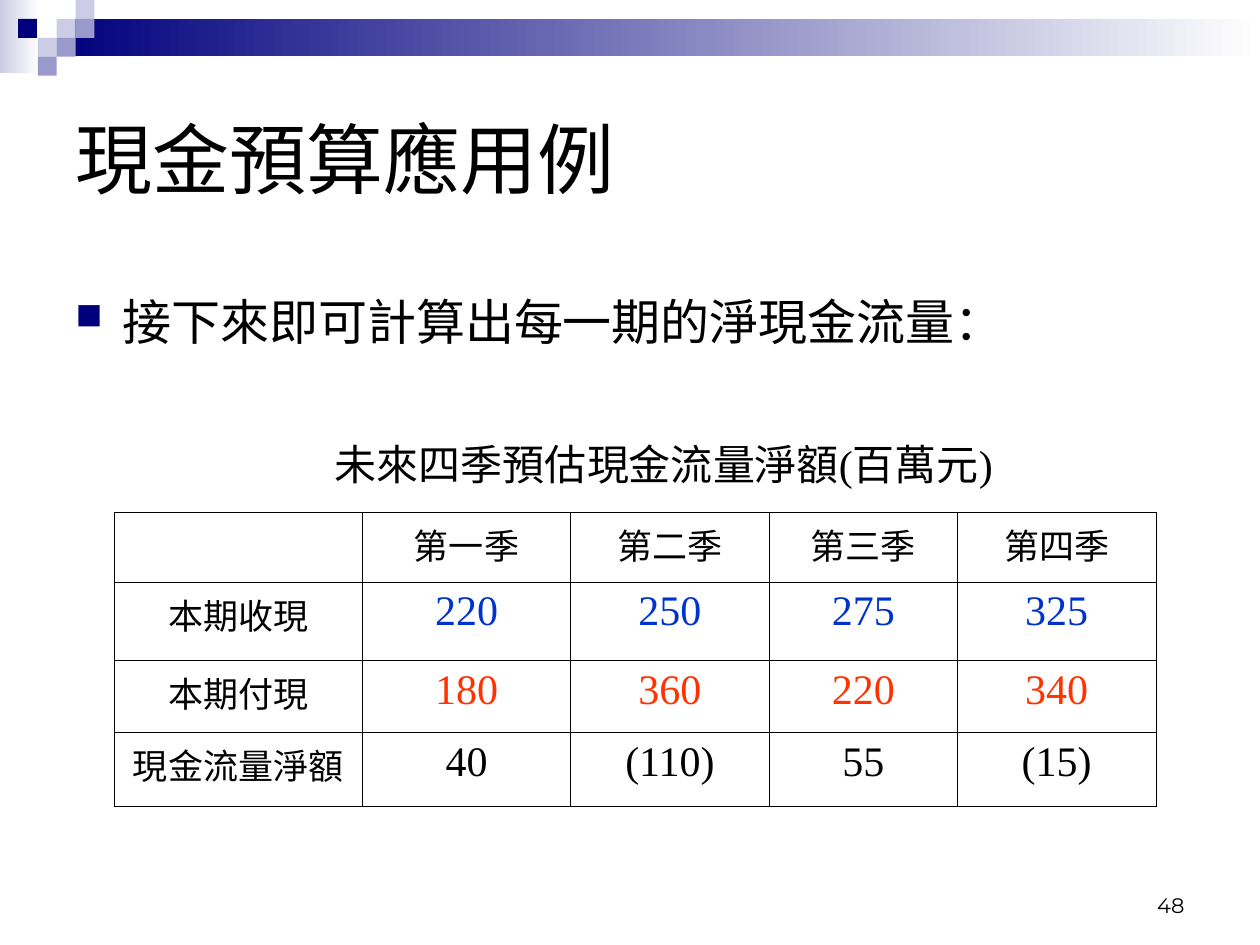
from lxml.etree import SubElement
from pptx import Presentation
from pptx.dml.color import RGBColor
from pptx.enum.shapes import MSO_SHAPE
from pptx.enum.text import MSO_ANCHOR, PP_ALIGN
from pptx.oxml.ns import qn
from pptx.util import Pt

BLACK = RGBColor(0x00, 0x00, 0x00)
WHITE = RGBColor(0xFF, 0xFF, 0xFF)
NAVY = RGBColor(0x00, 0x00, 0x7D)
LAVENDER = RGBColor(0xCC, 0xCC, 0xE6)
PERIWINKLE = RGBColor(0x99, 0x99, 0xCC)
BLUE = RGBColor(0x00, 0x33, 0xCC)
RED = RGBColor(0xFF, 0x33, 0x00)

presentation = Presentation()
presentation.slide_width = Pt(720)
presentation.slide_height = Pt(540)
slide = presentation.slides.add_slide(presentation.slide_layouts[6])


def add_block(left, top, width, height, color, fades=False):
    shape = slide.shapes.add_shape(
        MSO_SHAPE.RECTANGLE, Pt(left), Pt(top), Pt(width), Pt(height))
    shape.shadow.inherit = False
    shape.line.fill.background()
    if fades:
        shape.fill.gradient()
        shape.fill.gradient_angle = 180
        for stop, stop_color in zip(shape.fill.gradient_stops, (WHITE, color)):
            stop.color.rgb = stop_color
        shape.fill.gradient_stops[0].position = 0
        shape.fill.gradient_stops[1].position = 1
    else:
        shape.fill.solid()
        shape.fill.fore_color.rgb = color


def add_text(left, top, width, height, text, size, font, anchor, align, wrap=True):
    box = slide.shapes.add_textbox(Pt(left), Pt(top), Pt(width), Pt(height))
    text_frame = box.text_frame
    text_frame.text = text
    text_frame.word_wrap = wrap
    text_frame.vertical_anchor = anchor
    paragraph = text_frame.paragraphs[0]
    paragraph.alignment = align
    run_font = paragraph.runs[0].font
    run_font.size = Pt(size)
    run_font.name = font
    run_font.color.rgb = BLACK
    return paragraph


# Header band and squares
add_block(0, 0, 22.5, 41.8, LAVENDER, fades=True)
add_block(32.4, 10.8, 687.6, 21.3, NAVY, fades=True)
SQUARE = 10.8
squares = [
    (32.4, 10.8, LAVENDER), (43.2, 0, LAVENDER), (43.2, 10.8, PERIWINKLE),
    (21.6, 21.6, LAVENDER), (10.3, 10.8, NAVY), (32.4, 21.6, PERIWINKLE),
    (21.6, 32.4, PERIWINKLE),
]
for left, top, color in squares:
    add_block(left, top, SQUARE, SQUARE, color)

# Title
add_text(36, 36, 648, 108, "現金預算應用例", 44, "Arial",
         MSO_ANCHOR.MIDDLE, PP_ALIGN.LEFT)

# Bulleted statement
statement = add_text(36, 163, 653, 352, "接下來即可計算出每一期的淨現金流量：", 28,
                     "Arial", MSO_ANCHOR.TOP, PP_ALIGN.LEFT)
properties = statement._p.get_or_add_pPr()
properties.set("marL", str(Pt(27)))
properties.set("indent", str(-Pt(27)))
bullet_color = SubElement(properties, qn("a:buClr"))
SubElement(bullet_color, qn("a:srgbClr"), val=str(NAVY))
SubElement(properties, qn("a:buSzPct"), val="75000")
SubElement(properties, qn("a:buChar"), char="■")

# Table caption
add_text(175.7, 247, 407.5, 36, "未來四季預估現金流量淨額(百萬元)", 24,
         "Times New Roman", MSO_ANCHOR.MIDDLE, PP_ALIGN.CENTER, wrap=False)

# Cash flow table: each row is its texts and the colour of its figures
rows = [
    (["", "第一季", "第二季", "第三季", "第四季"], BLACK),
    (["本期收現", "220", "250", "275", "325"], BLUE),
    (["本期付現", "180", "360", "220", "340"], RED),
    (["現金流量淨額", "40", "(110)", "55", "(15)"], BLACK),
]
column_widths = [142, 119, 113.5, 107.5, 113.5]
row_heights = [40, 45, 41, 42.5]
table = slide.shapes.add_table(
    len(rows), len(column_widths), Pt(65.1), Pt(292.6),
    Pt(sum(column_widths)), Pt(sum(row_heights))).table
table.first_row = False
table.horz_banding = False
for column, width in zip(table.columns, column_widths):
    column.width = Pt(width)
for row, height in zip(table.rows, row_heights):
    row.height = Pt(height)

for row_index, (texts, figure_color) in enumerate(rows):
    for column_index, text in enumerate(texts):
        cell = table.cell(row_index, column_index)
        is_figure = row_index > 0 and column_index > 0
        cell.text_frame.text = text
        paragraph = cell.text_frame.paragraphs[0]
        paragraph.alignment = PP_ALIGN.CENTER
        paragraph.font.size = Pt(20)
        for run in paragraph.runs:
            run.font.size = Pt(24 if is_figure else 20)
            run.font.name = "Times New Roman"
            run.font.color.rgb = figure_color if is_figure else BLACK
        # Borders come before the fill in the cell properties
        cell_properties = cell._tc.get_or_add_tcPr()
        for side in ("lnL", "lnR", "lnT", "lnB"):
            border = SubElement(cell_properties, qn(f"a:{side}"), w=str(Pt(0.45)))
            border_fill = SubElement(border, qn("a:solidFill"))
            SubElement(border_fill, qn("a:srgbClr"), val=str(BLACK))
        cell.fill.background()

# Slide number
add_text(516, 492, 168, 36, "48", 12, "Montserrat",
         MSO_ANCHOR.BOTTOM, PP_ALIGN.RIGHT)

presentation.save("out.pptx")
